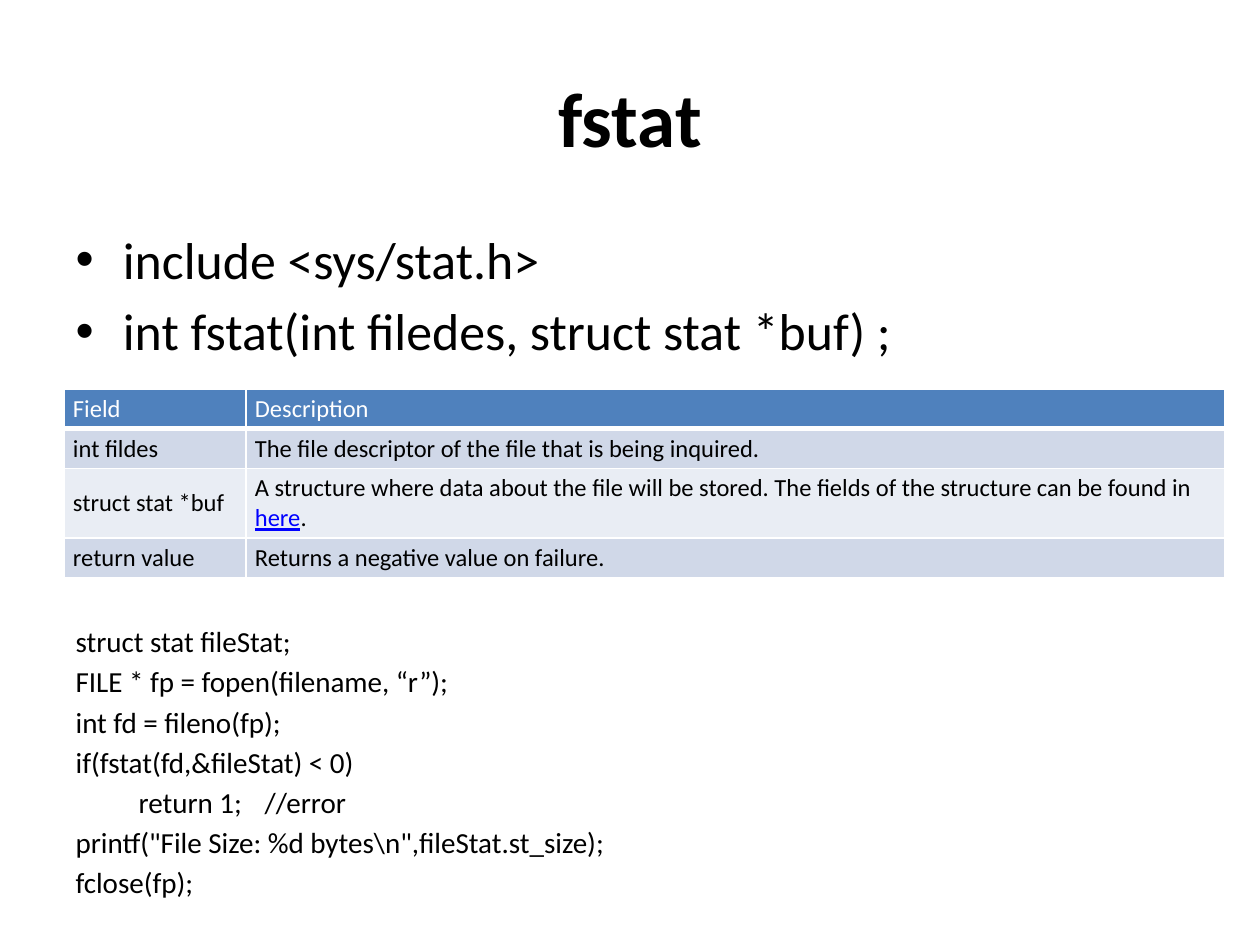
from dataclasses import dataclass

from lxml import etree
from pptx import Presentation
from pptx import util as u
from pptx.dml.color import RGBColor
from pptx.enum import text
from pptx.oxml import ns

FONT = "Calibri"
BLACK = RGBColor(0x00, 0x00, 0x00)
WHITE = RGBColor(0xFF, 0xFF, 0xFF)
BLUE = RGBColor(0x4F, 0x81, 0xBD)
LINK = RGBColor(0x00, 0x00, 0xFF)
BAND_DARK = RGBColor(0xD0, 0xD8, 0xE8)
BAND_LIGHT = RGBColor(0xE9, 0xED, 0xF4)
PX_PER_INCH = 126


@dataclass(frozen=True)
class Row:
    field: str
    description: str
    height: int
    fill: RGBColor
    color: RGBColor = BLACK
    anchor: text.MSO_ANCHOR = text.MSO_ANCHOR.MIDDLE
    link: str = ""
    ending: str = ""


BULLETS = ("include <sys/stat.h>", "int fstat(int filedes, struct stat *buf) ;")
CODE = (
    "struct stat fileStat;",
    "FILE * fp = fopen(filename, “r”);",
    "int fd = fileno(fp);",
    "if(fstat(fd,&fileStat) < 0)",
    "\treturn 1;\t//error",
    'printf("File Size: %d bytes\\n",fileStat.st_size);',
    "fclose(fp);",
)
COLUMNS = (182, 979)
ROWS = (
    Row("Field", "Description", 39, BLUE, WHITE, text.MSO_ANCHOR.TOP),
    Row("int fildes", "The file descriptor of the file that is being inquired.", 39, BAND_DARK),
    Row(
        "struct stat *buf",
        "A structure where data about the file will be stored. "
        "The fields of the structure can be found in ",
        69, BAND_LIGHT, link="here", ending=".",
    ),
    Row("return value", "Returns a negative value on failure.", 39, BAND_DARK),
)


def px(length: int) -> u.Emu:
    return u.Emu(round(length * 914400 / PX_PER_INCH))


def place(box, left: int, top: int, width: int, height: int) -> None:
    box.left, box.top, box.width, box.height = map(px, (left, top, width, height))


def write(para, words: str, *, size: float, color: RGBColor = BLACK,
          bold: bool = False, underline: bool = False) -> None:
    for index, piece in enumerate(words.split("\t")):
        span = para.add_run()
        span.text = ("\t" if index else "") + piece
        font = span.font
        font.name, font.size = FONT, u.Pt(size)
        font.bold, font.underline = bold, underline
        font.color.rgb = color


def add_child(parent, tag: str, **attributes: str):
    return etree.SubElement(parent, ns.qn(tag), attributes)


def format_code(para) -> None:
    props = para._p.get_or_add_pPr()
    props.set("marL", "0")
    props.set("indent", "0")
    add_child(props, "a:buNone")
    stops = add_child(props, "a:tabLst")
    for inch in (1, 2):
        add_child(stops, "a:tab", pos=str(u.Inches(inch)), algn="l")


def add_title(page) -> None:
    box = page.shapes.title
    place(box, 63, 38, 1134, 158)
    frame = box.text_frame
    frame.vertical_anchor = text.MSO_ANCHOR.MIDDLE
    para = frame.paragraphs[0]
    para.alignment = text.PP_ALIGN.CENTER
    write(para, "fstat", size=44, bold=True)


def add_body(page) -> None:
    box = page.placeholders[1]
    place(box, 63, 221, 1134, 662)
    frame = box.text_frame
    frame.auto_size = text.MSO_AUTO_SIZE.NONE
    for index, line in enumerate(BULLETS + CODE):
        para = frame.add_paragraph() if index else frame.paragraphs[0]
        is_code = index >= len(BULLETS)
        first_code = index == len(BULLETS)
        para.space_before = u.Pt(150 if first_code else 3 if is_code else 5.5)
        if is_code:
            format_code(para)
        write(para, line, size=16.6 if is_code else 29.6)


def add_borders(cell, bottom: int) -> None:
    props = cell._tc.get_or_add_tcPr()
    for side, points in (("L", 1), ("R", 1), ("T", 1), ("B", bottom)):
        line = add_child(props, f"a:ln{side}", w=str(u.Pt(points)))
        add_child(add_child(line, "a:solidFill"), "a:srgbClr", val=str(WHITE))


def fill_cell(cell, row: Row, words: str) -> None:
    add_borders(cell, 3 if row.fill == BLUE else 1)
    cell.fill.solid()
    cell.fill.fore_color.rgb = row.fill
    cell.vertical_anchor = row.anchor
    cell.margin_left = cell.margin_right = px(9)
    cell.margin_top = cell.margin_bottom = px(5)
    write(cell.text_frame.paragraphs[0], words, size=14, color=row.color)


def add_fields(page) -> None:
    height = sum(row.height for row in ROWS)
    area = map(px, (64, 389, sum(COLUMNS), height))
    table = page.shapes.add_table(len(ROWS), len(COLUMNS), *area).table
    for column, width in zip(table.columns, COLUMNS):
        column.width = px(width)
    for index, row in enumerate(ROWS):
        table.rows[index].height = px(row.height)
        for column, words in enumerate((row.field, row.description)):
            fill_cell(table.cell(index, column), row, words)
        if row.link:
            para = table.cell(index, 1).text_frame.paragraphs[0]
            write(para, row.link, size=14, color=LINK, underline=True)
            write(para, row.ending, size=14)


def main() -> None:
    deck = Presentation()
    deck.slide_width, deck.slide_height = u.Inches(10), u.Inches(7.5)
    page = deck.slides.add_slide(deck.slide_layouts[1])
    add_title(page)
    add_body(page)
    add_fields(page)
    deck.save("out.pptx")


if __name__ == "__main__":
    main()
